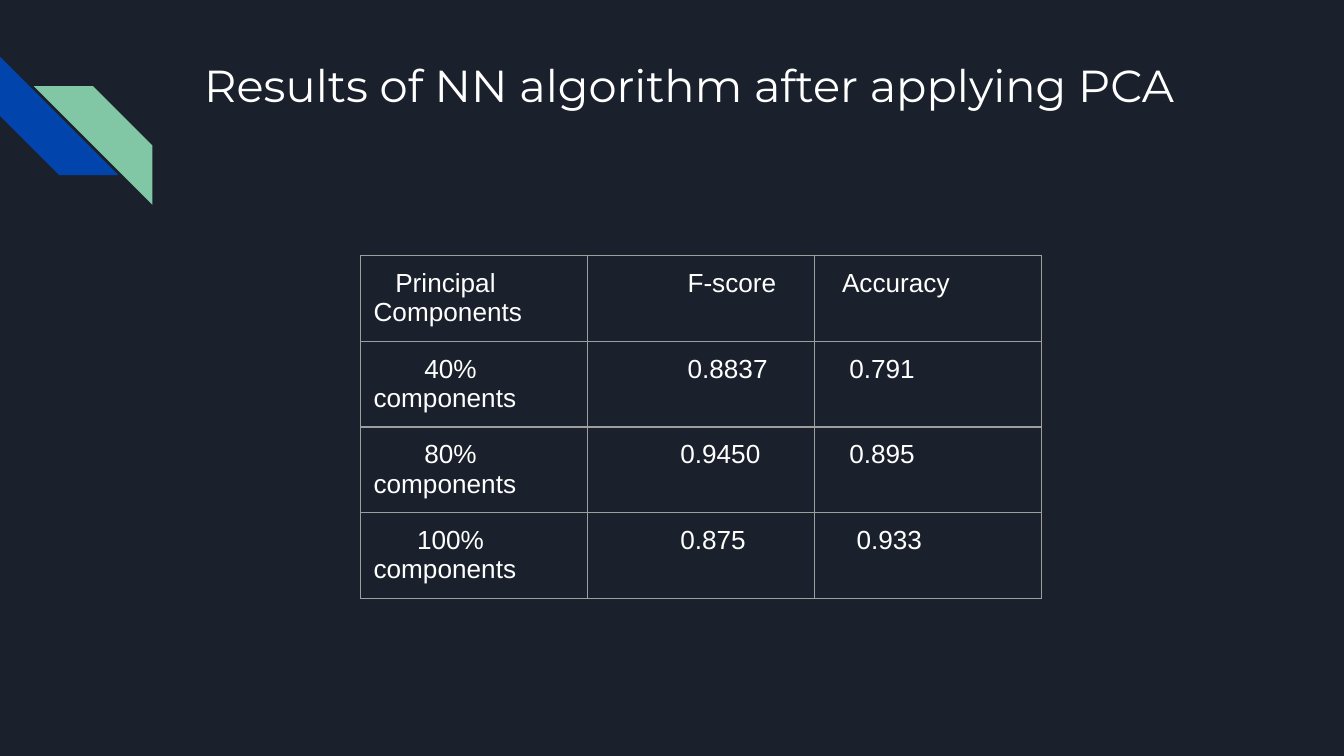
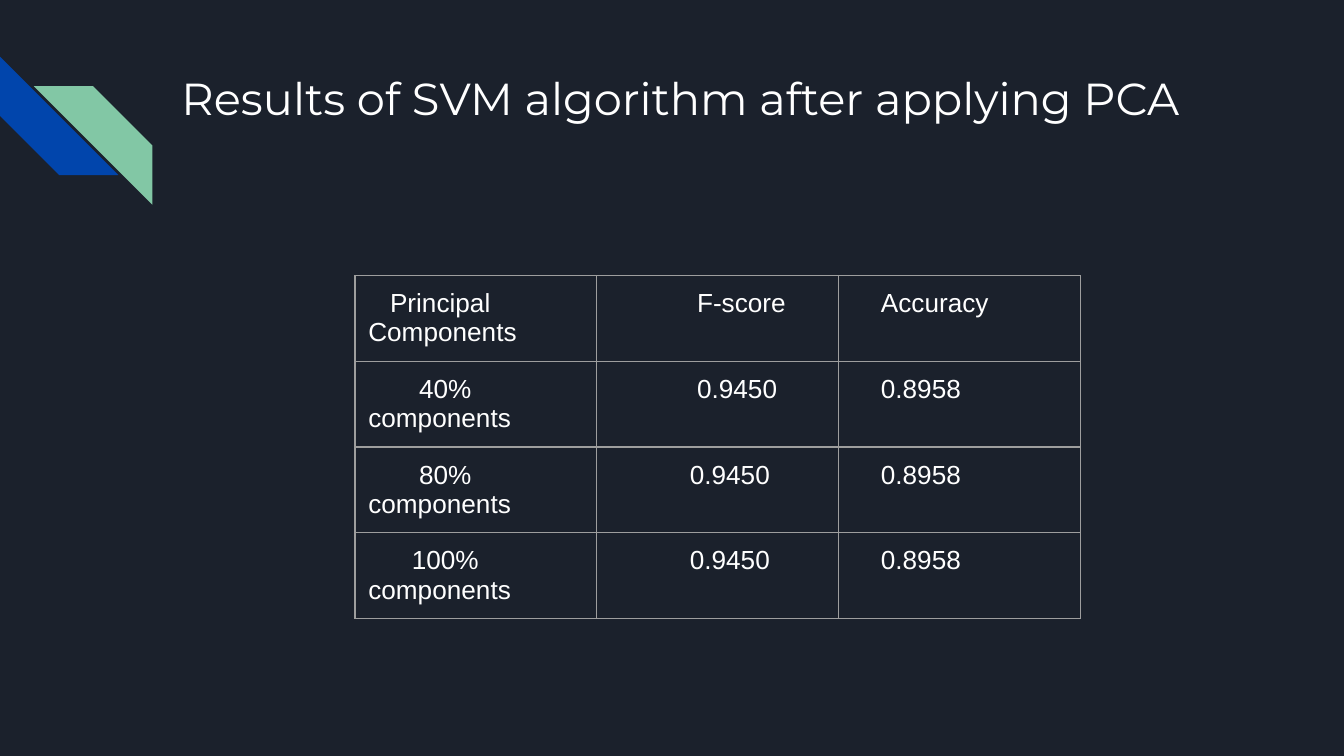
from lxml import etree
from pptx import Presentation
from pptx.dml.color import RGBColor
from pptx.enum.shapes import MSO_SHAPE
from pptx.enum.text import MSO_ANCHOR, MSO_AUTO_SIZE, PP_ALIGN
from pptx.oxml.ns import qn
from pptx.util import Cm, Pt

STRIPE = MSO_SHAPE.DIAGONAL_STRIPE
TOP = MSO_ANCHOR.TOP
LEFT = PP_ALIGN.LEFT
FIXED = MSO_AUTO_SIZE.NONE

NAVY = RGBColor(0x1B, 0x21, 0x2C)
BLUE = RGBColor(0x01, 0x45, 0xAC)
GREEN = RGBColor(0x82, 0xC7, 0xA5)
WHITE = RGBColor(0xFF, 0xFF, 0xFF)
GREY = RGBColor(0x9E, 0x9E, 0x9E)

PAD = Cm(0.25)
ROW = Cm(1.62)
STEP = 0.137

HEADS = ["Principal Components", "F-score", "Accuracy"]
PARTS = ["40% components", "80% components", "100% components"]
DENTS = [(3, 12), (7, 12), (7, 11), (6, 11)]

PAGES = [
    ("Results of NN algorithm after applying PCA",
     (3.61, 0.84, 19.56, 1.5), (6.81, 4.83), 4.29,
     [("0.8837", "0.791"), ("0.9450", "0.895"), ("0.875", "0.933")],
     (2, 3, 3, 4)),
    ("Results of SVM algorithm after applying PCA",
     (3.18, 1.09, 19.96, 2.13), (6.71, 5.21), 4.57,
     [("0.9450", "0.8958")] * 3,
     (4, 4, 4, 4)),
]


def write(para, text, font, size):
    para.alignment = LEFT
    run = para.add_run()
    run.text = text
    run.font.name = font
    run.font.size = Pt(size)
    run.font.bold = False
    run.font.color.rgb = WHITE


def frame(cell):
    props = cell._tc.get_or_add_tcPr()
    for side in ("lnL", "lnR", "lnT", "lnB"):
        line = etree.SubElement(props, qn("a:" + side), w=str(Pt(0.75)))
        fill = etree.SubElement(line, qn("a:solidFill"))
        etree.SubElement(fill, qn("a:srgbClr"), val=str(GREY))
    cell.fill.background()


prs = Presentation()
prs.slide_width = Cm(25.4)
prs.slide_height = Cm(14.29)

layout = prs.slide_layouts.get_by_name("Title Only")
layout.background.fill.solid()
layout.background.fill.fore_color.rgb = NAVY
slides = [prs.slides.add_slide(layout) for page in PAGES]

for x, y, color, turn in [(0, 1.07, BLUE, 270), (0.64, 1.63, GREEN, 0)]:
    band = slides[0].shapes.add_shape(STRIPE, Cm(x), Cm(y), Cm(2.24), Cm(2.24))
    band.adjustments[0] = 0.5
    band.rotation = turn
    band.shadow.inherit = False
    band.fill.solid()
    band.fill.fore_color.rgb = color
    band.line.fill.background()
    if not turn:
        band._element.spPr.find(qn("a:xfrm")).set("flipH", "1")
    layout.shapes._spTree.append(band._element)

for slide, (head, box, spot, wide, scores, last) in zip(slides, PAGES):
    title = slide.shapes.title
    title.left, title.top, title.width, title.height = [Cm(v) for v in box]
    text = title.text_frame
    text.word_wrap = True
    text.auto_size = FIXED
    text.vertical_anchor = TOP
    text.margin_left = text.margin_right = PAD
    text.margin_top = text.margin_bottom = PAD
    write(text.paragraphs[0], head, "Montserrat", 24)

    rows = [HEADS] + [[part, *pair] for part, pair in zip(PARTS, scores)]
    x, y = spot
    table = slide.shapes.add_table(
        len(rows), 3, Cm(x), Cm(y), Cm(3 * wide), ROW * len(rows)).table
    table.first_row = False
    table.horz_banding = False
    for col in table.columns:
        col.width = Cm(wide)
    for r, row in enumerate(rows):
        table.rows[r].height = ROW
        for c, word in enumerate(row):
            cell = table.cell(r, c)
            cell.margin_left = cell.margin_right = PAD
            cell.margin_top = cell.margin_bottom = PAD
            cell.vertical_anchor = TOP
            frame(cell)
            para = cell.text_frame.paragraphs[0]
            write(para, word, "Arial", 14)
            dent = (*DENTS[r], last[r])[c]
            props = para._p.get_or_add_pPr()
            props.set("marL", "0")
            props.set("indent", str(Cm(dent * STEP)))

prs.save("out.pptx")
